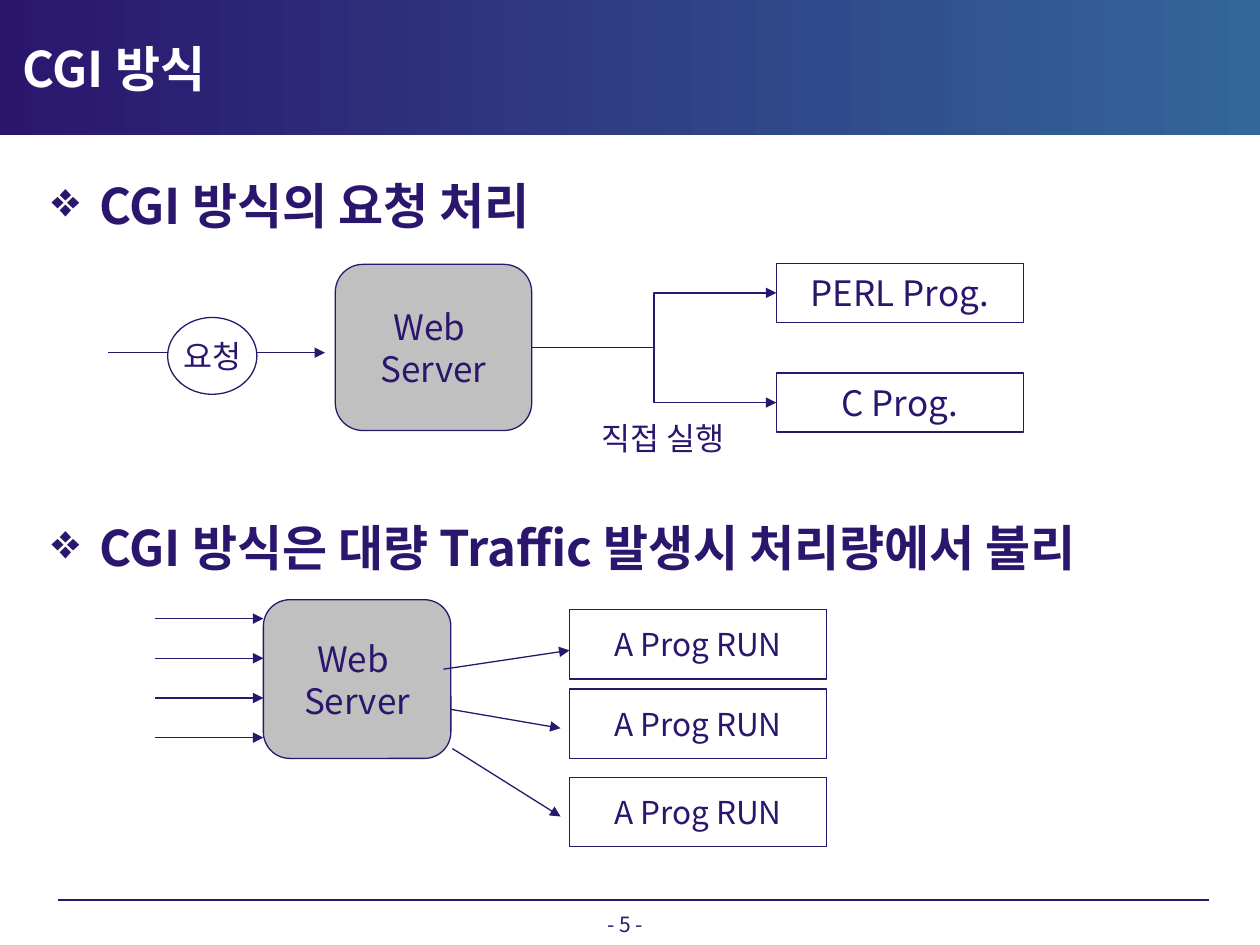
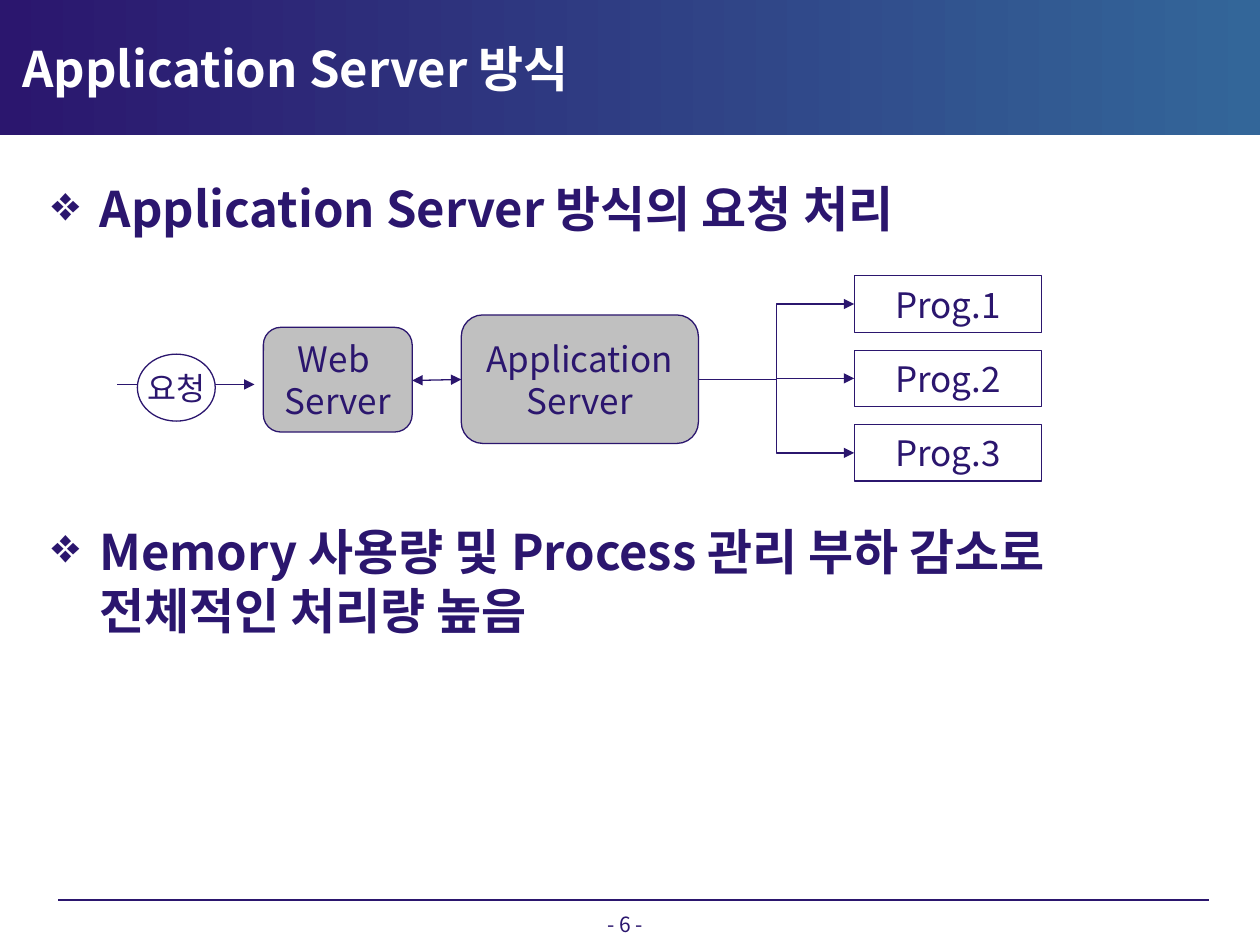
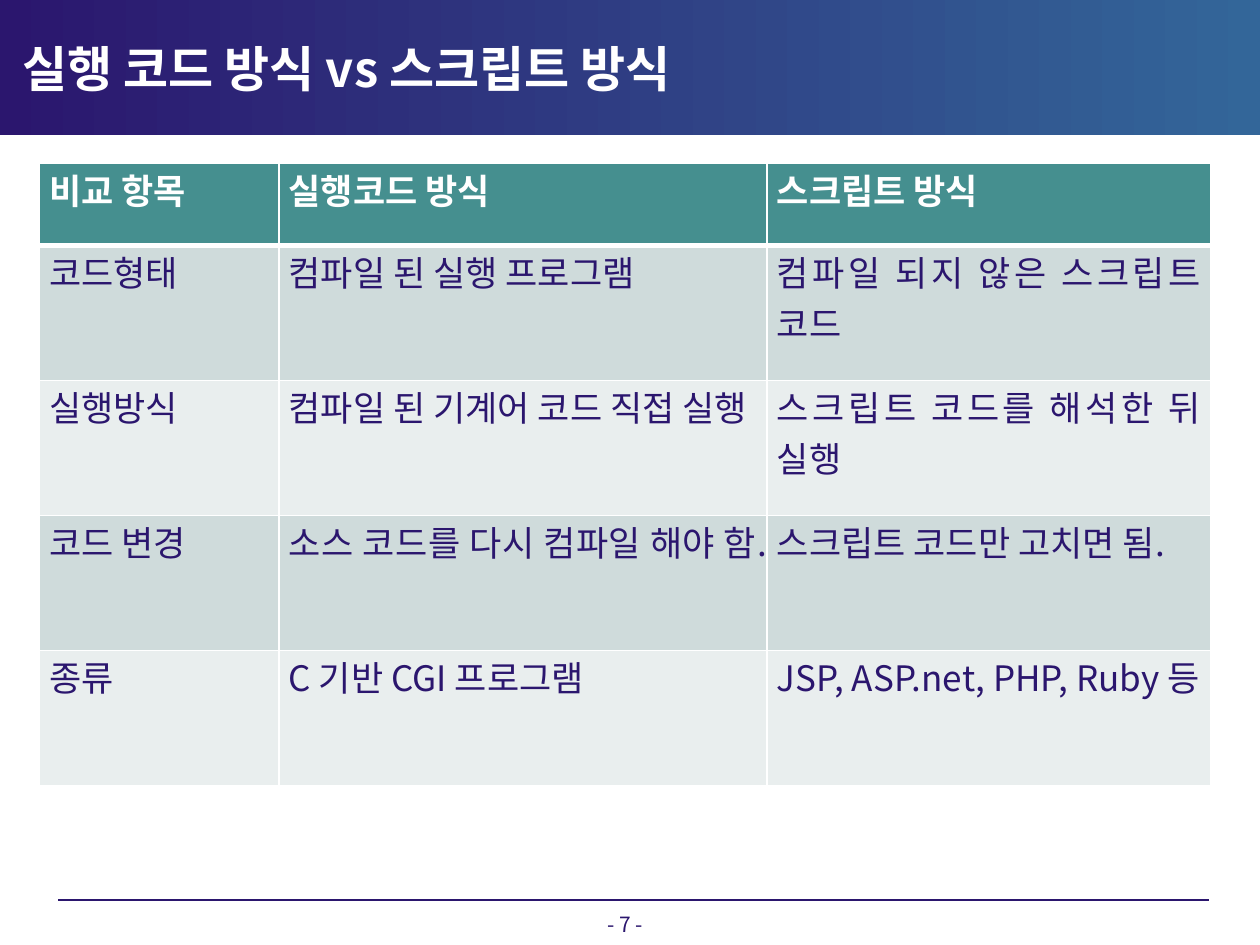
from dataclasses import dataclass

from lxml import etree
from pptx import Presentation
from pptx import util as u
from pptx.dml.color import RGBColor
from pptx.enum import shapes, text
from pptx.oxml.ns import qn

FONT = "Noto Sans CJK KR"
COLORS = {
    "navy": "2B166E", "blue": "336699", "white": "FFFFFF", "gray": "C0C0C0",
    "header": "458F8F", "odd": "CFDBDB", "even": "E9EEEE",
}
SHAPE = shapes.MSO_SHAPE
ELBOW = shapes.MSO_CONNECTOR.ELBOW
STRAIGHT = shapes.MSO_CONNECTOR.STRAIGHT
CENTER = text.PP_ALIGN.CENTER

TABLE_ROWS = [
    ("비교 항목", "실행코드 방식", "스크립트 방식"),
    ("코드형태", "컴파일 된 실행 프로그램", "컴파일 되지 않은 스크립트 코드"),
    ("실행방식", "컴파일 된 기계어 코드 직접 실행", "스크립트 코드를 해석한 뒤 실행"),
    ("코드 변경", "소스 코드를 다시 컴파일 해야 함.", "스크립트 코드만 고치면 됨."),
    ("종류", "C 기반 CGI 프로그램", "JSP, ASP.net, PHP, Ruby 등"),
]


@dataclass
class Node:
    """A labelled diagram shape, with lengths in centimetres."""
    label: str
    x: float
    y: float
    w: float
    h: float
    kind: SHAPE = SHAPE.RECTANGLE
    fill: str = "white"
    size: int = 20


@dataclass
class Arrow:
    """A connector between two points, with lengths in centimetres."""
    x1: float
    y1: float
    x2: float
    y2: float
    kind: STRAIGHT = STRAIGHT
    ends: tuple = ("tailEnd",)


def rgb(name: str) -> RGBColor:
    """Return a named colour."""
    return RGBColor.from_string(COLORS[name])


def box(x: float, y: float, w: float, h: float) -> tuple:
    """Return a position and size given in centimetres."""
    return tuple(u.Cm(v) for v in (x, y, w, h))


def style(p, size: int, color: str = "navy", bold: bool = False,
          align=text.PP_ALIGN.LEFT, leading: float = 1.2) -> None:
    """Format a paragraph and its runs."""
    p.alignment = align
    if leading:
        p.line_spacing = u.Pt(size * leading)
    for r in p.runs:
        r.font.size, r.font.bold, r.font.name = u.Pt(size), bold, FONT
        r.font.color.rgb = rgb(color)
        etree.SubElement(r.font._element, qn("a:ea"), typeface=FONT)


def add_label(s, label: str, size: int, *at: float) -> None:
    """Add a centred line of text."""
    tf = s.shapes.add_textbox(*box(*at)).text_frame
    tf.text = label
    tf.word_wrap = False
    tf.vertical_anchor = text.MSO_ANCHOR.MIDDLE
    style(tf.paragraphs[0], size, align=CENTER)


def add_node(s, node: Node) -> None:
    """Draw a diagram shape with its label."""
    sp = s.shapes.add_shape(node.kind, *box(node.x, node.y, node.w, node.h))
    sp.shadow.inherit = False
    sp.fill.solid()
    sp.fill.fore_color.rgb = rgb(node.fill)
    sp.line.color.rgb = rgb("navy")
    sp.line.width = u.Pt(0.75)
    tf = sp.text_frame
    tf.text = node.label
    tf.word_wrap = False
    tf.vertical_anchor = text.MSO_ANCHOR.MIDDLE
    for p in tf.paragraphs:
        style(p, node.size, align=CENTER)


def add_arrow(s, arrow: Arrow) -> None:
    """Draw a connector with the arrowheads it names."""
    ends = box(arrow.x1, arrow.y1, arrow.x2, arrow.y2)
    c = s.shapes.add_connector(arrow.kind, *ends)
    c.line.color.rgb = rgb("navy")
    c.line.width = u.Pt(0.75)
    props = c._element.spPr
    for end in arrow.ends:
        etree.SubElement(props.find(qn("a:ln")), qn(f"a:{end}"), type="triangle")
    etree.SubElement(props, qn("a:effectLst"))


def add_page(prs, title: str, number: int):
    """Add a slide with its band, title and footer."""
    s = prs.slides.add_slide(prs.slide_layouts[5])
    band = s.shapes.add_shape(SHAPE.RECTANGLE, *box(0, 0, 25.4, 2.72))
    band.shadow.inherit = False
    band.line.fill.background()
    band.fill.gradient()
    band.fill.gradient_angle = 0
    for stop, name in zip(band.fill.gradient_stops, ("navy", "blue")):
        stop.color.rgb = rgb(name)
    s.shapes._spTree.insert(2, band._element)
    sp = s.shapes.title
    sp.left, sp.top, sp.width, sp.height = box(0.2, 0.58, 19.05, 1.57)
    tf = sp.text_frame
    tf.text = title
    tf.auto_size = text.MSO_AUTO_SIZE.NONE
    tf.vertical_anchor = text.MSO_ANCHOR.MIDDLE
    style(tf.paragraphs[0], 28, "white", True)
    add_arrow(s, Arrow(1.17, 18.14, 24.38, 18.14, ends=()))
    add_label(s, f"- {number} -", 12, 10.11, 18.34, 4.98, 0.56)
    return s


def add_headings(s, top: float, headings: list[str]) -> None:
    """Add the bulleted headings, leaving room for a diagram between them."""
    tf = s.shapes.add_textbox(*box(0.79, top, 23.62, 14.15)).text_frame
    tf.word_wrap = True
    tf.margin_top = u.Cm(0.23)
    for i, heading in enumerate(headings):
        p = tf.add_paragraph() if i else tf.paragraphs[0]
        p.text = heading
        style(p, 28, bold=True)
        p.space_before = u.Pt(162 if i else 0)
        props = p._p.get_or_add_pPr()
        props.set("marL", str(u.Cm(0.97)))
        props.set("indent", str(-u.Cm(0.97)))
        color = etree.SubElement(props, qn("a:buClr"))
        etree.SubElement(color, qn("a:srgbClr"), val=COLORS["navy"])
        etree.SubElement(props, qn("a:buChar"), char="❖")


def add_diagram(s, arrows: list[Arrow], nodes: list[Node]) -> None:
    """Draw arrows and then the shapes over them."""
    for arrow in arrows:
        add_arrow(s, arrow)
    for node in nodes:
        add_node(s, node)


def server(label: str, *at: float) -> Node:
    """Describe a rounded server shape."""
    return Node(label, *at, SHAPE.ROUNDED_RECTANGLE, "gray")


def request(*at: float) -> Node:
    """Describe the request oval."""
    return Node("요청", *at, SHAPE.OVAL, size=18)


def add_borders(cell, top: float, bottom: float) -> None:
    """Give a cell white borders."""
    props = cell._tc.get_or_add_tcPr()
    widths = {"lnL": 1, "lnR": 1, "lnT": top, "lnB": bottom}
    for i, (side, width) in enumerate(widths.items()):
        ln = etree.Element(qn(f"a:{side}"), w=str(u.Pt(width)))
        fill = etree.SubElement(ln, qn("a:solidFill"))
        etree.SubElement(fill, qn("a:srgbClr"), val=COLORS["white"])
        props.insert(i, ln)


def add_comparison(s) -> None:
    """Add the comparison table."""
    widths, heights = (4.83, 9.84, 8.95), (1.65,) + (2.72,) * 4
    at = box(0.79, 3.3, sum(widths), sum(heights))
    table = s.shapes.add_table(len(heights), len(widths), *at).table
    table.horz_banding = False
    for column, width in zip(table.columns, widths):
        column.width = u.Cm(width)
    for i, (row, height) in enumerate(zip(table.rows, heights)):
        row.height = u.Cm(height)
        fill = "header" if i == 0 else "odd" if i % 2 else "even"
        for cell, label in zip(row.cells, TABLE_ROWS[i]):
            cell.text_frame.text = label
            cell.margin_left = cell.margin_right = u.Cm(0.2)
            cell.margin_top = cell.margin_bottom = 0
            cell.fill.solid()
            cell.fill.fore_color.rgb = rgb(fill)
            add_borders(cell, 3 if i == 1 else 1, 1 if i else 3)
            style(cell.text_frame.paragraphs[0], 20, "navy" if i else "white",
                  i == 0, text.PP_ALIGN.JUSTIFY, 0)


def build_cgi(prs) -> None:
    """Build the CGI slide."""
    s = add_page(prs, "CGI 방식", 5)
    add_headings(s, 3.3, ["CGI 방식의 요청 처리",
                          "CGI 방식은 대량 Traffic 발생시 처리량에서 불리"])
    programs = [Node("PERL Prog.", 15.65, 5.31, 4.98, 1.19),
                Node("C Prog.", 15.65, 7.52, 4.98, 1.19)]
    arrows = [Arrow(10.72, 7.01, p.x, p.y + p.h / 2, ELBOW) for p in programs]
    arrows.append(Arrow(2.18, 7.11, 6.55, 7.11))
    add_diagram(s, arrows, [server("Web \nServer", 6.76, 5.33, 3.96, 3.35),
                            request(3.38, 6.4, 1.8, 1.55), *programs])
    add_label(s, "직접 실행", 18, 11.71, 8.31, 3.3, 1.02)

    runs = [Node("A Prog RUN", 11.48, y, 5.18, 1.4, size=18)
            for y in (12.29, 13.89, 15.67)]
    add_diagram(s, [], [server("Web \nServer", 5.31, 12.09, 3.78, 3.2), *runs])
    requests = [Arrow(3.12, 12.47 + 0.8 * i, 5.31, 12.47 + 0.8 * i)
                for i in range(4)]
    calls = [Arrow(8.94, 13.49, 11.48, 13.11), Arrow(9.09, 14.3, 11.3, 14.68),
             Arrow(9.12, 15.09, 11.3, 16.46)]
    add_diagram(s, requests + calls, [])


def build_application_server(prs) -> None:
    """Build the application server slide."""
    s = add_page(prs, "Application Server 방식", 6)
    add_headings(s, 3.38, [
        "Application Server 방식의 요청 처리",
        "Memory 사용량 및 Process 관리 부하 감소로\v전체적인 처리량 높음"])
    programs = [Node(f"Prog.{i + 1}", 17.22, 5.56 + 1.5 * i, 3.78, 1.14)
                for i in range(3)]
    arrows = [Arrow(14.1, 7.65, p.x, p.y + p.h / 2, ELBOW) for p in programs]
    arrows += [Arrow(2.36, 7.75, 5.13, 7.75),
               Arrow(8.31, 7.67, 9.3, 7.65, ends=("headEnd", "tailEnd"))]
    add_diagram(s, arrows, [
        server("Web \nServer", 5.31, 6.6, 3, 2.11),
        request(2.77, 7.14, 1.57, 1.35),
        server("Application\nServer", 9.3, 6.35, 4.78, 2.59), *programs])


def main() -> None:
    """Build and save the presentation."""
    prs = Presentation()
    prs.slide_width, prs.slide_height = u.Cm(25.4), u.Cm(19.05)
    build_cgi(prs)
    build_application_server(prs)
    add_comparison(add_page(prs, "실행 코드 방식 vs 스크립트 방식", 7))
    prs.save("out.pptx")


if __name__ == "__main__":
    main()
